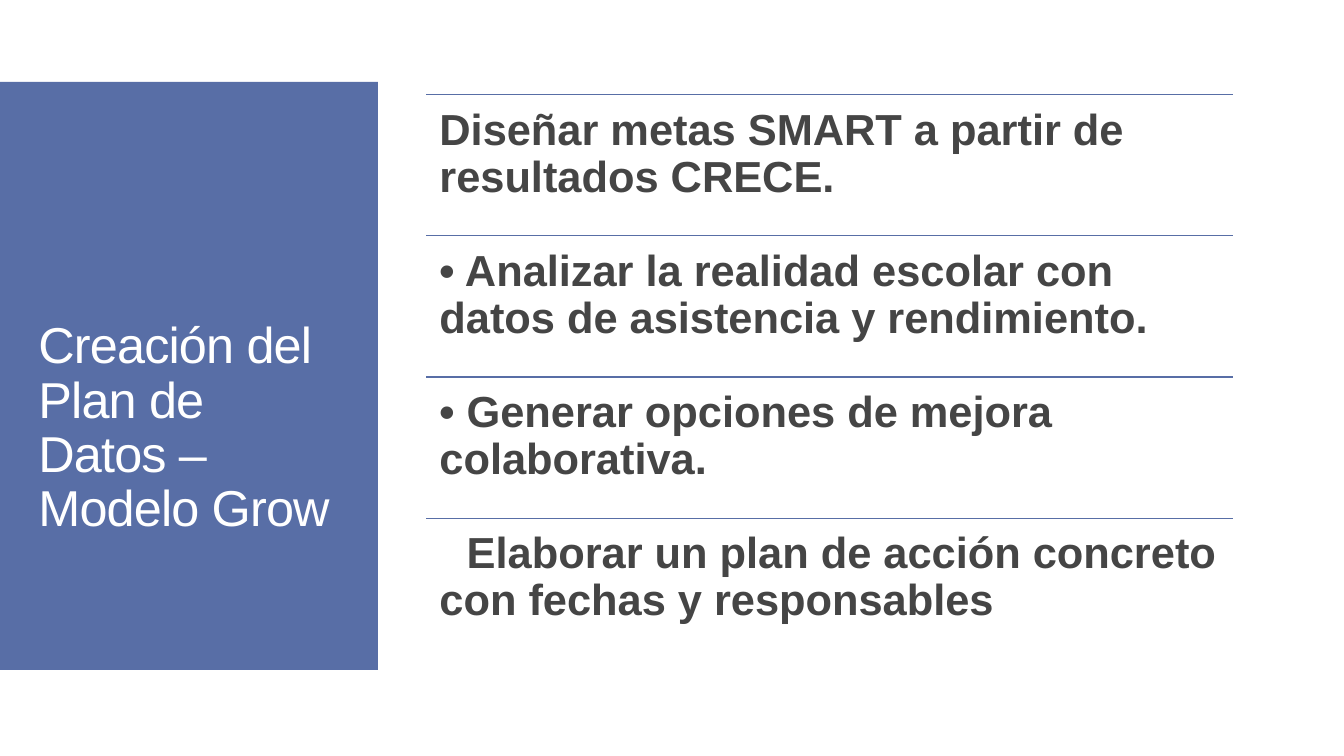
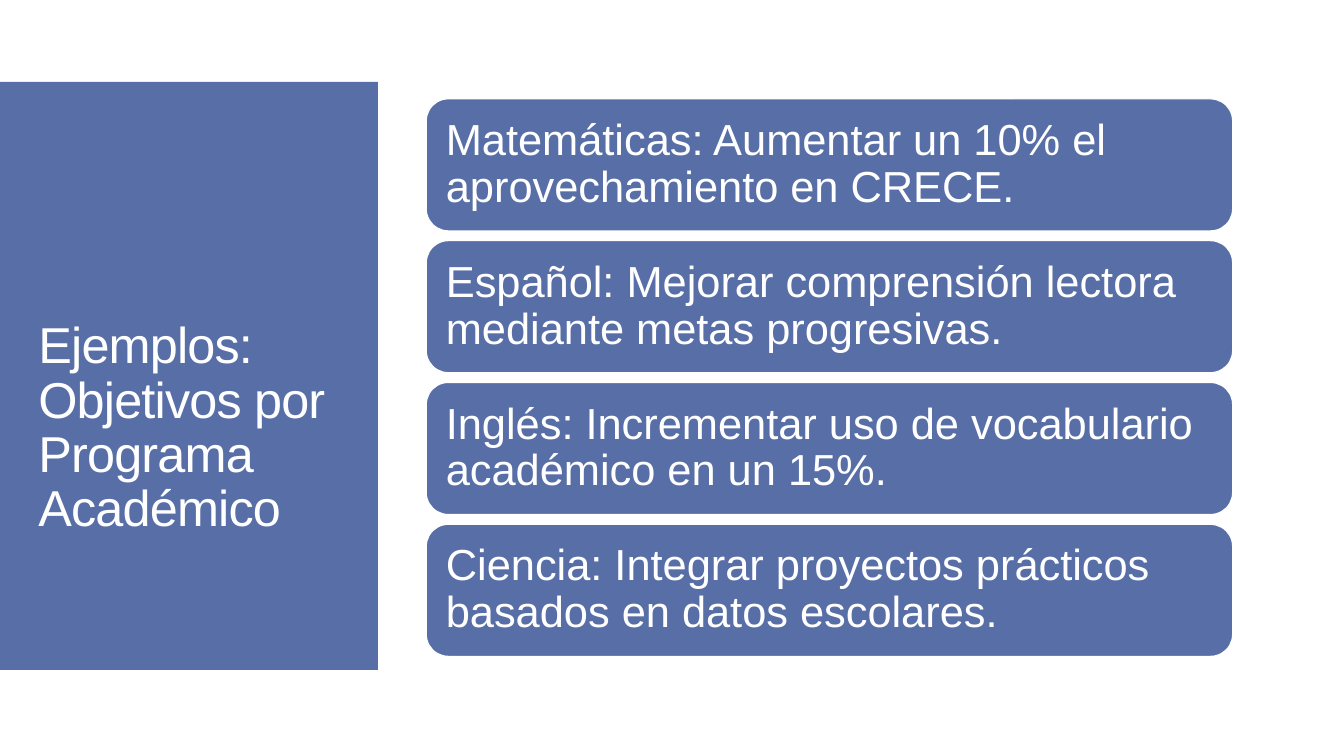
"""Build two slides with a title band: ruled goals and rounded cards."""
import pptx
import pptx.util
import pptx.dml.color
import pptx.enum.shapes
import pptx.enum.text
import pptx.oxml.ns
import lxml.etree

Pt = pptx.util.Pt
Kind = pptx.enum.shapes.MSO_SHAPE
Anchor = pptx.enum.text.MSO_ANCHOR
hues = {"blue": "586EA6", "white": "FFFFFF", "dark": "454545"}
left, wide = 304.5, 576


def tint(name):
    return pptx.dml.color.RGBColor.from_string(hues[name])


def write(shape, text, size, hue, anchor, pad, bold=False):
    frame = shape.text_frame
    frame.text = text
    frame.word_wrap = True
    frame.auto_size = pptx.enum.text.MSO_AUTO_SIZE.NONE
    frame.vertical_anchor = anchor
    frame.margin_left = frame.margin_right = Pt(pad[0])
    frame.margin_top = frame.margin_bottom = Pt(pad[1])
    para = frame.paragraphs[0]
    para.alignment = pptx.enum.text.PP_ALIGN.LEFT
    para.line_spacing = 0.9
    font = para.runs[0].font
    font.name, font.size, font.bold = "Arial", Pt(size), bold
    font.color.rgb = tint(hue)
    return para


deck = pptx.Presentation()
deck.slide_width, deck.slide_height = Pt(960), Pt(540)

slides = []
for text in ("Creación del Plan de Datos – Modelo Grow",
             "Ejemplos: Objetivos por Programa Académico"):
    slide = deck.slides.add_slide(deck.slide_layouts[5])
    band = slide.shapes.add_shape(Kind.RECTANGLE, 0, Pt(58.5), Pt(270), Pt(420))
    band.shadow.inherit = False
    band.fill.solid()
    band.fill.fore_color.rgb = tint("blue")
    band.line.fill.background()
    title = slide.shapes.title
    title.left, title.top = Pt(20.2), Pt(161.3)
    title.width, title.height = Pt(231.8), Pt(290.2)
    para = write(title, text, 36, "white", Anchor.MIDDLE, (7.2, 3.6))
    para.runs[0].font._element.set("spc", "-60")
    title._element.addprevious(band._element)
    slides.append(slide)

goals = (
    ("Diseñar metas SMART a partir de resultados CRECE.", 0),
    ("• Analizar la realidad escolar con datos de asistencia y rendimiento.", 0),
    ("• Generar opciones de mejora colaborativa.", 0),
    ("Elaborar un plan de acción concreto con fechas y responsables", 19.5),
)
step = 100.8
for row, (text, indent) in enumerate(goals):
    top = 67.7 + row * step
    rule = slides[0].shapes.add_connector(
        pptx.enum.shapes.MSO_CONNECTOR.STRAIGHT,
        Pt(left), Pt(top), Pt(left + wide), Pt(top))
    rule.line.color.rgb = tint("blue")
    rule.line.width = Pt(0.85)
    lxml.etree.SubElement(rule._element.spPr, pptx.oxml.ns.qn("a:effectLst"))
    box = slides[0].shapes.add_textbox(Pt(left), Pt(top), Pt(wide), Pt(step))
    para = write(box, text, 31, "dark", Anchor.TOP, (9.4, 9.4), True)
    if indent:
        para._p.get_or_add_pPr().set("indent", str(Pt(indent)))

aims = (
    "Matemáticas: Aumentar un 10% el aprovechamiento en CRECE.",
    "Español: Mejorar comprensión lectora mediante metas progresivas.",
    "Inglés: Incrementar uso de vocabulario académico en un 15%.",
    "Ciencia: Integrar proyectos prácticos basados en datos escolares.",
)
for row, text in enumerate(aims):
    card = slides[1].shapes.add_shape(
        Kind.ROUNDED_RECTANGLE, Pt(left), Pt(70.6 + row * 101.3), Pt(wide), Pt(94.3))
    card.shadow.inherit = False
    card.fill.solid()
    card.fill.fore_color.rgb = tint("blue")
    card.line.color.rgb = tint("white")
    card.line.width = Pt(0.85)
    write(card, text, 31, "white", Anchor.MIDDLE, (9.4, 9.4))

deck.save("out.pptx")
